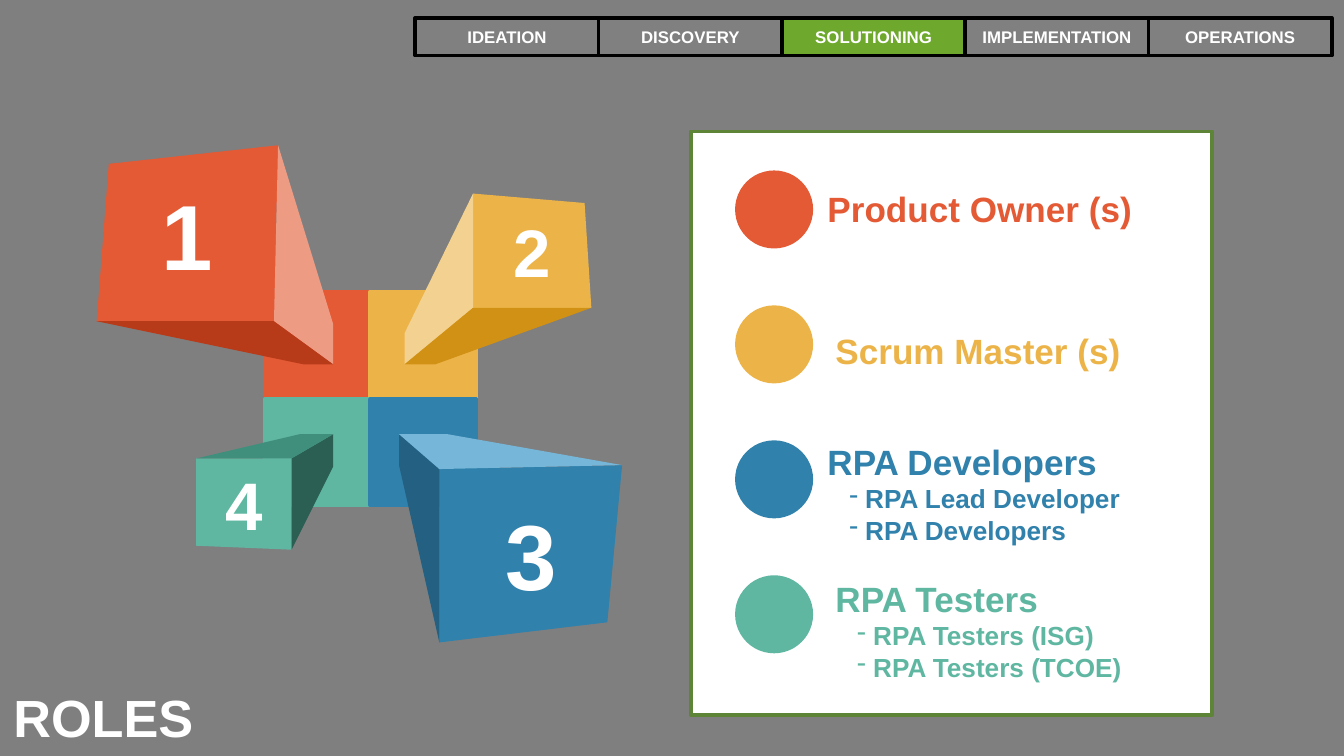
from dataclasses import dataclass

from lxml import etree
from pptx import Presentation
from pptx.dml.color import RGBColor
from pptx.enum import shapes, text
from pptx.oxml.ns import qn
from pptx.util import Pt


@dataclass(frozen=True)
class Theme:
    font: str = "Arial"
    backdrop: str = "7F7F7F"
    white: str = "FFFFFF"
    step: str = "808080"
    active: str = "6EA92D"
    step_line: str = "000000"
    panel_line: str = "5E8438"
    # front, side and floor of each cube
    red: tuple = ("E35A35", "EE9B84", "B83B19")
    yellow: tuple = ("ECB448", "F3D190", "D19115")
    blue: tuple = ("3081AC", "236081", "75B6D9")
    green: tuple = ("5FB7A2", "2B5F53", "408F7C")
    step_size: float = 9
    title_size: float = 28
    role_size: float = 18.8
    detail_size: float = 14
    big_digit: float = 49.5
    small_digit: float = 36


THEME = Theme()
RECT = shapes.MSO_SHAPE.RECTANGLE
OVAL = shapes.MSO_SHAPE.OVAL
LEFT, CENTER = text.PP_ALIGN.LEFT, text.PP_ALIGN.CENTER
TOP, MIDDLE = text.MSO_ANCHOR.TOP, text.MSO_ANCHOR.MIDDLE

STEPS = ["IDEATION", "DISCOVERY", "SOLUTIONING", "IMPLEMENTATION", "OPERATIONS"]

# name, details, colours, text offset from the panel corner
ROLES = [
    ("Product Owner (s)", [], THEME.red, (66.2, 23)),
    ("Scrum Master (s)", [], THEME.yellow, (70.5, 98.6)),
    ("RPA Developers", ["RPA Lead Developer", "RPA Developers"],
     THEME.blue, (66.2, 158.4)),
    ("RPA Testers", ["RPA Testers (ISG)", "RPA Testers (TCOE)"],
     THEME.green, (70.5, 231.8)),
]

# digit, size, colours, front corners (hub, side, far, floor),
# back corners (hub, side, floor)
CUBES = [
    ("1", THEME.big_digit, THEME.red,
     [(95, 94.3), (97.2, 0), (6.5, 10), (0, 94.3)],
     [(126.7, 117.4), (126.7, 95.8), (110.9, 117.4)]),
    ("2", THEME.small_digit, THEME.yellow,
     [(201.6, 87.1), (201.6, 25.9), (261.4, 31), (265, 87.1)],
     [(164.9, 117.4), (164.9, 100.8), (181.4, 117.4)]),
    ("4", THEME.small_digit, THEME.green,
     [(104.4, 167.8), (104.4, 216.7), (53.3, 214.6), (53.3, 167.8)],
     [(126.7, 154.8), (126.7, 172.1), (108.7, 154.8)]),
    ("3", THEME.big_digit, THEME.blue,
     [(183.6, 173.5), (183.6, 266.4), (273.6, 255.6), (281.5, 171.4)],
     [(162, 154.8), (162, 171.4), (187.9, 154.8)]),
]


def paint(shape, fill, line=None):
    shape.shadow.inherit = False
    shape.fill.solid()
    shape.fill.fore_color.rgb = RGBColor.from_string(fill)
    if line:
        shape.line.color.rgb = RGBColor.from_string(line)
        shape.line.width = Pt(2)
    else:
        shape.line.fill.background()


def add_shape(page, kind, left, top, width, height, fill, line=None):
    shape = page.shapes.add_shape(kind, Pt(left), Pt(top), Pt(width), Pt(height))
    paint(shape, fill, line)
    return shape


def add_outline(page, left, top, corners, fill):
    points = [(Pt(left + x), Pt(top + y)) for x, y in corners]
    builder = page.shapes.build_freeform(*points[0])
    builder.add_line_segments(points[1:], close=True)
    shape = builder.convert_to_shape()
    paint(shape, fill)
    return shape


def set_frame(frame, anchor=TOP, inset=(7.2, 7.2)):
    frame.word_wrap = True
    frame.auto_size = text.MSO_AUTO_SIZE.NONE
    frame.vertical_anchor = anchor
    frame.margin_left = frame.margin_right = Pt(inset[0])
    frame.margin_top = frame.margin_bottom = Pt(inset[1])


def write(para, words, size, color=THEME.white, align=LEFT, dash=False):
    if dash:
        props = para._p.get_or_add_pPr()
        props.set("marL", str(Pt(20.25)))
        props.set("indent", str(-Pt(8.55)))
        etree.SubElement(props, qn("a:buChar")).set("char", "-")
    para.alignment = align
    span = para.add_run()
    span.text = words
    span.font.name = THEME.font
    span.font.size = Pt(size)
    span.font.bold = True
    span.font.color.rgb = RGBColor.from_string(color)


def add_title(page, left, top, width, height):
    title = page.shapes.title
    title.left, title.top = Pt(left), Pt(top)
    title.width, title.height = Pt(width), Pt(height)
    set_frame(title.text_frame)
    write(title.text_frame.paragraphs[0], "ROLES", THEME.title_size)


def add_steps(page, left, top, width, height, current):
    step_width = width / len(STEPS)
    for index, name in enumerate(STEPS):
        fill = THEME.active if name == current else THEME.step
        step = add_shape(page, RECT, left + index * step_width, top,
                         step_width, height, fill, THEME.step_line)
        set_frame(step.text_frame, MIDDLE, (7.2, 3.6))
        write(step.text_frame.paragraphs[0], name, THEME.step_size, align=CENTER)


def add_cubes(page, left, top):
    """Four tiles with a cube rising out of each."""
    tile = 56.9
    tile_colors = [THEME.red, THEME.yellow, THEME.green, THEME.blue]
    for index, colors in enumerate(tile_colors):
        row, column = divmod(index, 2)
        add_shape(page, RECT, left + 90 + column * 56.4, top + 78.5 + row * 57.5,
                  tile, tile, colors[0], colors[0])

    for digit, size, colors, front, back in CUBES:
        hub, side, far, floor = front
        back_hub, back_side, back_floor = back
        face = add_outline(page, left, top, front, colors[0])
        set_frame(face.text_frame, MIDDLE, (5, 2.9))
        write(face.text_frame.paragraphs[0], digit, size, align=CENTER)
        add_outline(page, left, top, [side, hub, back_hub, back_side], colors[1])
        add_outline(page, left, top, [floor, hub, back_hub, back_floor], colors[2])


def add_roles(page, left, top, width, height):
    add_shape(page, RECT, left, top, width, height, THEME.white, THEME.panel_line)
    for index, (name, details, colors, offset) in enumerate(ROLES):
        color = colors[0]
        add_shape(page, OVAL, left + 23.8, top + 20.8 + index * 72.3,
                  41.8, 41.8, color)
        box = page.shapes.add_textbox(Pt(left + offset[0]), Pt(top + offset[1]),
                                      Pt(width - offset[0]), Pt(50))
        frame = box.text_frame
        set_frame(frame)
        write(frame.paragraphs[0], name, THEME.role_size, color)
        for detail in details:
            write(frame.add_paragraph(), detail, THEME.detail_size, color, dash=True)


def main():
    deck = Presentation()
    deck.slide_width, deck.slide_height = Pt(720), Pt(405)
    page = deck.slides.add_slide(deck.slide_layouts.get_by_name("Title Only"))
    page.background.fill.solid()
    page.background.fill.fore_color.rgb = RGBColor.from_string(THEME.backdrop)
    add_title(page, 0, 360, 492, 45)
    add_roles(page, 370, 70.5, 279.4, 312.5)
    add_cubes(page, 51.8, 77.8)
    add_steps(page, 222.5, 9.6, 491, 20.2, current="SOLUTIONING")
    deck.save("out.pptx")


if __name__ == "__main__":
    main()
